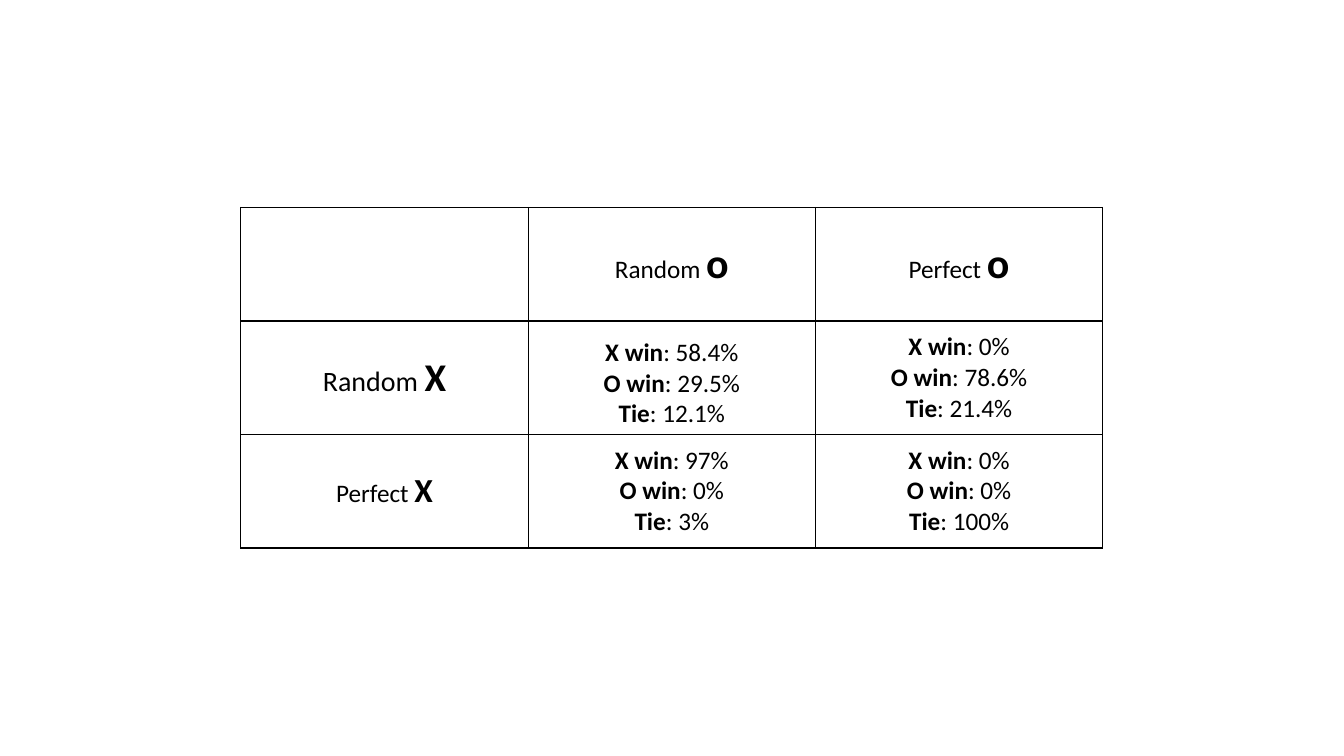
import pptx
import pptx.dml.color
import pptx.enum.text
import pptx.oxml
import pptx.oxml.ns
import pptx.util

Cm = pptx.util.Cm
Pt = pptx.util.Pt
ANCHOR = pptx.enum.text.MSO_ANCHOR
INK = "000000"
PAPER = "FFFFFF"


def color(code):
    """Turn a hex string into a colour."""
    return pptx.dml.color.RGBColor.from_string(code)


def write(para, text, size=18, bold=False):
    """Add one formatted run to a centred paragraph."""
    para.alignment = pptx.enum.text.PP_ALIGN.CENTER
    run = para.add_run()
    run.text = text
    font = run.font
    font.name = "Calibri"
    font.size = Pt(size)
    font.bold = bold
    font.color.rgb = color(INK)


def frame(cell):
    """Give a cell thin borders on all sides and a plain fill."""
    props = cell._tc.get_or_add_tcPr()
    for side in ("lnL", "lnR", "lnT", "lnB"):
        props.append(pptx.oxml.parse_xml(
            f'<a:{side} {pptx.oxml.ns.nsdecls("a")} w="{Pt(1)}">'
            f'<a:solidFill><a:srgbClr val="{INK}"/></a:solidFill>'
            f'</a:{side}>'))
    cell.fill.solid()
    cell.fill.fore_color.rgb = color(PAPER)
    cell.vertical_anchor = ANCHOR.MIDDLE


def label(cell, skill, mark, size=18, big=30):
    """Name a player by skill and a large bold mark."""
    para = cell.text_frame.paragraphs[0]
    write(para, skill + " ", size=size)
    write(para, mark, size=big, bold=True)


def result(cell, rates):
    """List the three outcomes with their rates."""
    body = cell.text_frame
    for i, (name, rate) in enumerate(zip(("X win", "O win", "Tie"), rates)):
        para = body.add_paragraph() if i else body.paragraphs[0]
        write(para, name, bold=True)
        write(para, f": {rate}%")


def grid(slide, count, left, top, wide, high):
    """Add a square grid of equal, framed cells."""
    table = slide.shapes.add_table(
        count, count, left, top, wide * count, high * count).table
    table.first_row = table.horz_banding = False
    for col in table.columns:
        col.width = wide
    for row in table.rows:
        row.height = high
    for cell in table.iter_cells():
        frame(cell)
    return table


def main():
    """Build the slide of game outcomes."""
    deck = pptx.Presentation()
    deck.slide_width, deck.slide_height = Cm(33.87), Cm(19.05)
    slide = deck.slides.add_slide(deck.slide_layouts[6])
    table = grid(slide, 3, Cm(6.07), Cm(5.23), Cm(7.24), Cm(2.86))

    label(table.cell(0, 1), "Random", "o")
    label(table.cell(0, 2), "Perfect", "o")
    label(table.cell(1, 0), "Random", "X", size=20, big=28)
    label(table.cell(2, 0), "Perfect", "X", big=24)

    rates = [[(58.4, 29.5, 12.1), (0, 78.6, 21.4)],
             [(97, 0, 3), (0, 0, 100)]]
    for i, line in enumerate(rates, 1):
        for j, trio in enumerate(line, 1):
            result(table.cell(i, j), trio)
    table.cell(1, 1).vertical_anchor = ANCHOR.BOTTOM

    deck.save("out.pptx")


main()
